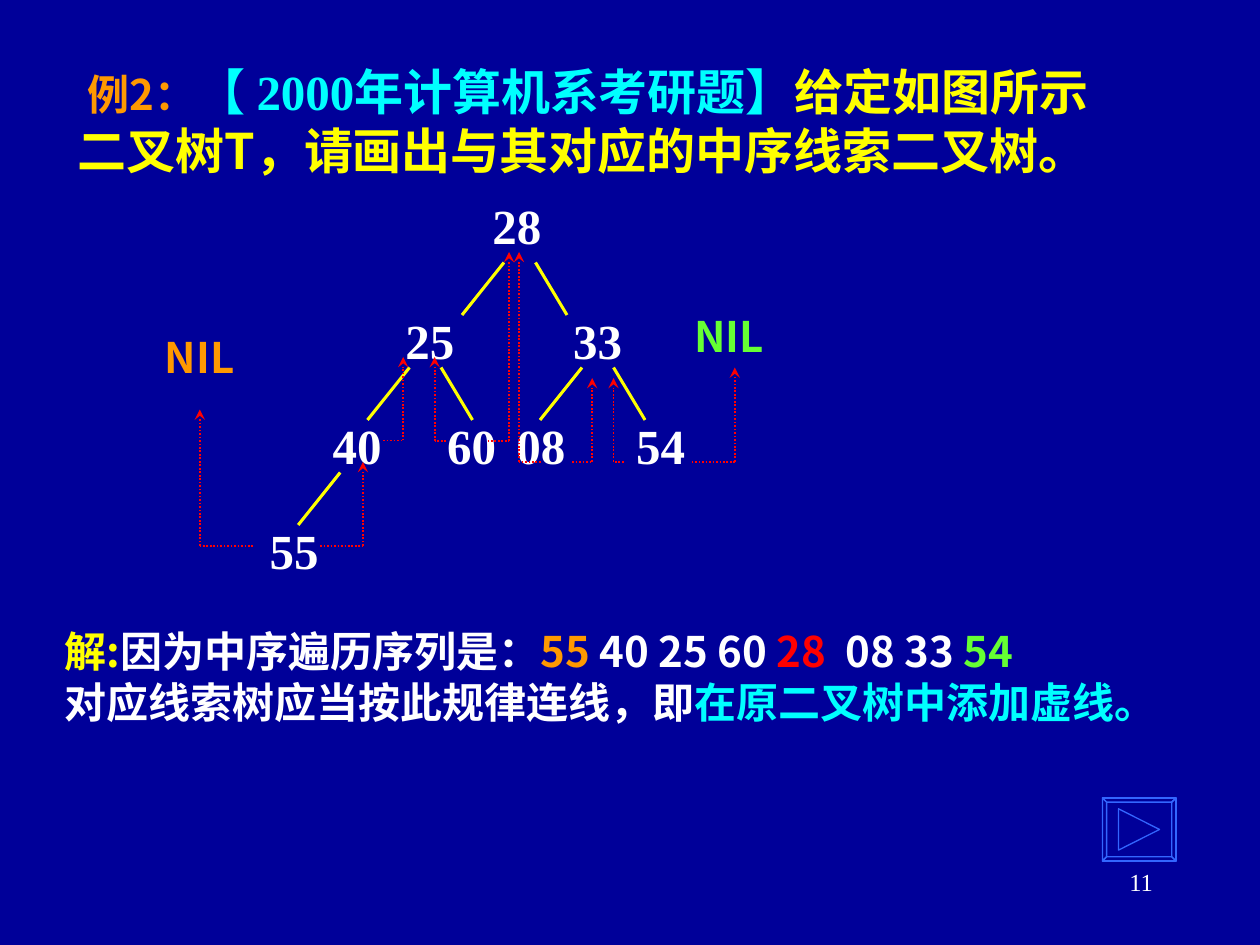
from lxml.etree import SubElement
from pptx import Presentation
from pptx.dml.color import RGBColor
from pptx.enum.dml import MSO_LINE
from pptx.enum.shapes import MSO_CONNECTOR
from pptx.enum.text import MSO_ANCHOR, MSO_AUTO_SIZE as AUTO, PP_ALIGN
from pptx.oxml.ns import qn
from pptx.util import Pt

COLORS = {
    "navy": "000099", "white": "FFFFFF", "yellow": "FFFF00", "cyan": "00FFFF",
    "orange": "FF9900", "green": "66FF33", "red": "FF0000", "blue": "3366FF",
}
SANS = "Noto Sans CJK SC"
SERIF = "Times New Roman"


def rgb(color):
    return RGBColor.from_string(COLORS[color])


def add_run(paragraph, text, color="white", size=24, font=SANS, bold=True):
    run = paragraph.add_run()
    run.text = text
    run.font.size, run.font.name, run.font.bold = Pt(size), font, bold
    run.font.color.rgb = rgb(color)
    # Chinese characters always use the sans face
    SubElement(run.font._element, qn("a:ea"), typeface=SANS)


class Board:
    """Holds the current slide and draws each kind of element in points."""

    def __init__(self, slide):
        self.slide = slide
        slide.background.fill.solid()
        slide.background.fill.fore_color.rgb = rgb("navy")

    def title(self, left, top, width, height, runs):
        heading = self.slide.shapes.title
        heading.left, heading.top = Pt(left), Pt(top)
        heading.width, heading.height = Pt(width), Pt(height)
        frame = heading.text_frame
        frame.auto_size, frame.word_wrap = AUTO.NONE, True
        frame.vertical_anchor = MSO_ANCHOR.MIDDLE
        frame.paragraphs[0].alignment = PP_ALIGN.CENTER
        for text, style in runs:
            add_run(frame.paragraphs[0], text, **style)

    def text(self, left, top, width, height, lines, wrap=False,
             align=PP_ALIGN.LEFT, grow=True):
        box = self.slide.shapes.add_textbox(Pt(left), Pt(top), Pt(width), Pt(height))
        frame = box.text_frame
        frame.word_wrap = wrap
        frame.auto_size = AUTO.SHAPE_TO_FIT_TEXT if grow else AUTO.NONE
        for index, runs in enumerate(lines):
            paragraph = frame.add_paragraph() if index else frame.paragraphs[0]
            paragraph.alignment = align
            for text, style in runs:
                add_run(paragraph, text, **style)

    def line(self, start, end, color="yellow", width=1.75, dotted=False, arrow=False):
        link = self.slide.shapes.add_connector(
            MSO_CONNECTOR.STRAIGHT, *(Pt(value) for value in (*start, *end)))
        link.line.color.rgb = rgb(color)
        link.line.width = Pt(width)
        if dotted:
            link.line.dash_style = MSO_LINE.ROUND_DOT
        if arrow:
            SubElement(link.line._get_or_add_ln(), qn("a:tailEnd"), type="stealth")
        SubElement(link._element.spPr, qn("a:effectLst"))

    def thread(self, start_x, corner_x, y, top):
        style = dict(color="red", width=1, dotted=True)
        self.line((start_x, y), (corner_x, y), **style)
        self.line((corner_x, y), (corner_x, top), arrow=True, **style)

    def outline(self, contours, color, width):
        builder = None
        for contour in contours:
            first, *rest = [(Pt(x), Pt(y)) for x, y in contour]
            if builder is None:
                builder = self.slide.shapes.build_freeform(*first)
            else:
                builder.move_to(*first)
            builder.add_line_segments(rest, close=True)
        shape = builder.convert_to_shape()
        shape.shadow.inherit = False
        shape.fill.background()
        shape.line.color.rgb = rgb(color)
        shape.line.width = Pt(width)


def rectangle(left, top, right, bottom):
    return [(left, top), (right, top), (right, bottom), (left, bottom)]


def main():
    deck = Presentation()
    deck.slide_width, deck.slide_height = Pt(720), Pt(540)
    board = Board(deck.slides.add_slide(deck.slide_layouts[5]))

    # Question
    board.title(30, 24, 612, 90, [
        ("例2：", dict(color="orange")),
        ("【 2000年计算机系考研题】", dict(color="cyan", size=28, font=SERIF)),
        ("给定如图所示二叉树T，请画出与其对应的中序线索二叉树。 ",
         dict(color="yellow", size=28)),
    ])

    # Tree nodes: key, left, top
    nodes = [
        ("28", 274.3, 108), ("25", 224.6, 174), ("33", 320.4, 174),
        ("40", 183, 234), ("60", 248.4, 234), ("08", 288, 234),
        ("54", 356.4, 234), ("55", 147, 294),
    ]
    for key, left, top in nodes:
        board.text(left, top, 42.5, 41, [[(key, dict(size=28, font=SERIF))]])

    # Branches: x of the left one, top, whether a right one follows 18 pt on
    for x, y, has_right in [(288, 150, True), (234, 210, True),
                            (332.6, 210, True), (194.4, 270, False)]:
        board.line((x, y), (x - 24, y + 30))
        if has_right:
            board.line((x + 18, y), (x + 36, y + 30))

    # Threads: start x, corner x, level, arrow top
    threads = [
        (144.7, 114.2, 312, 234), (183, 207.4, 312, 264),
        (219, 230.4, 251.7, 204), (254.9, 248.4, 252, 204),
        (278.6, 290.9, 252, 144), (309, 296.6, 263.8, 144),
        (327, 338.4, 263.8, 216), (356.4, 350.6, 263.8, 216),
        (395.3, 419.9, 263.8, 210),
    ]
    for thread in threads:
        board.thread(*thread)
    for left, top, color in [(87.1, 186, "orange"), (389.6, 174, "green")]:
        board.text(left, top, 57.6, 36, [[("NIL", dict(color=color))]])

    # Solution
    board.text(30, 354, 642, 65, [
        [("解:", dict(color="yellow")), ("因为中序遍历序列是：", {}),
         ("55", dict(color="orange")), (" 40 25 60 ", {}),
         ("28", dict(color="red")), ("  08 33 ", {}),
         ("54", dict(color="green"))],
        [("对应线索树应当按此规律连线，即", {}),
         ("在原二叉树中添加虚线。", dict(color="cyan"))],
    ], wrap=True)

    # Bevelled forward button
    outer = rectangle(630, 456, 672, 492)
    inner = rectangle(632.4, 458.4, 669.6, 489.6)
    bevels = [[outer[i], outer[(i + 1) % 4], inner[(i + 1) % 4], inner[i]]
              for i in range(4)]
    forward = [(639.2, 462.2), (662.6, 474), (639.2, 485.8)]
    board.outline([outer, *bevels, forward], "blue", 0.75)

    # Page number
    board.text(516, 492, 150, 36, [[("11", dict(size=14, font=SERIF, bold=False))]],
               wrap=True, align=PP_ALIGN.RIGHT, grow=False)

    deck.save("out.pptx")


if __name__ == "__main__":
    main()
